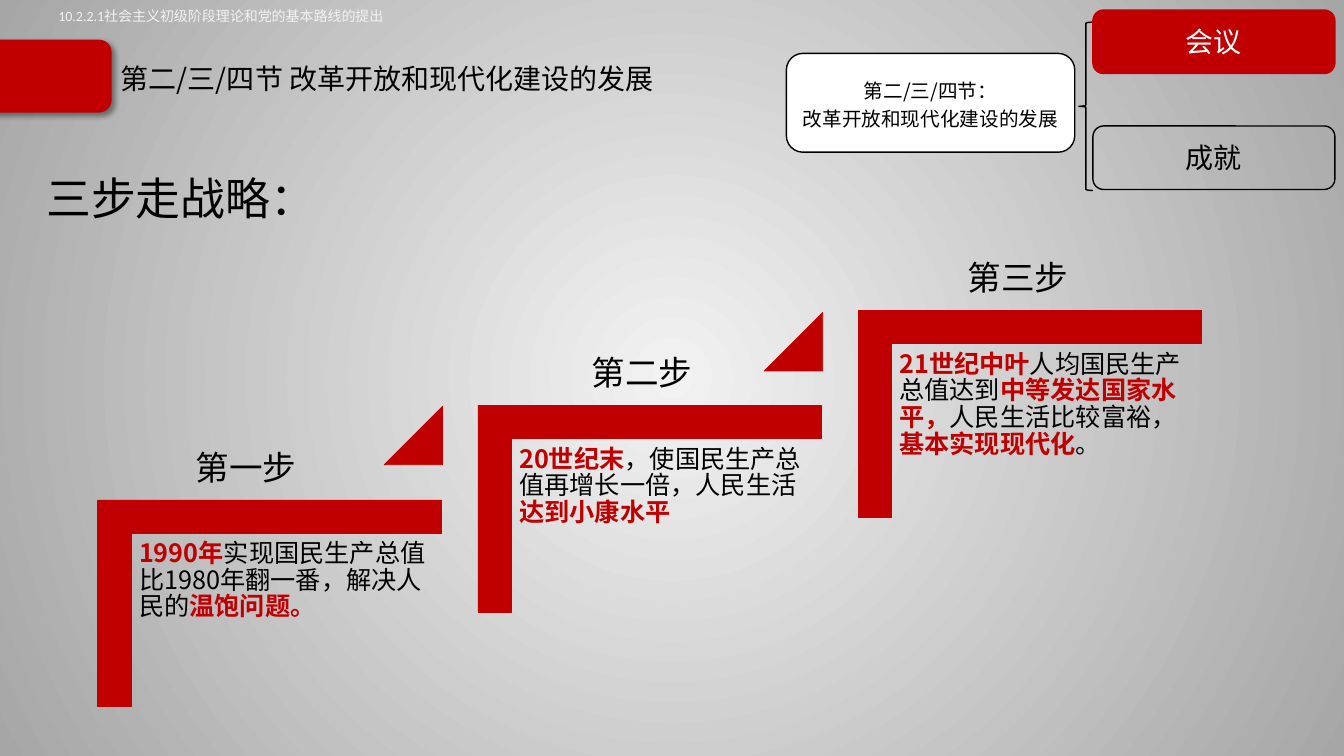
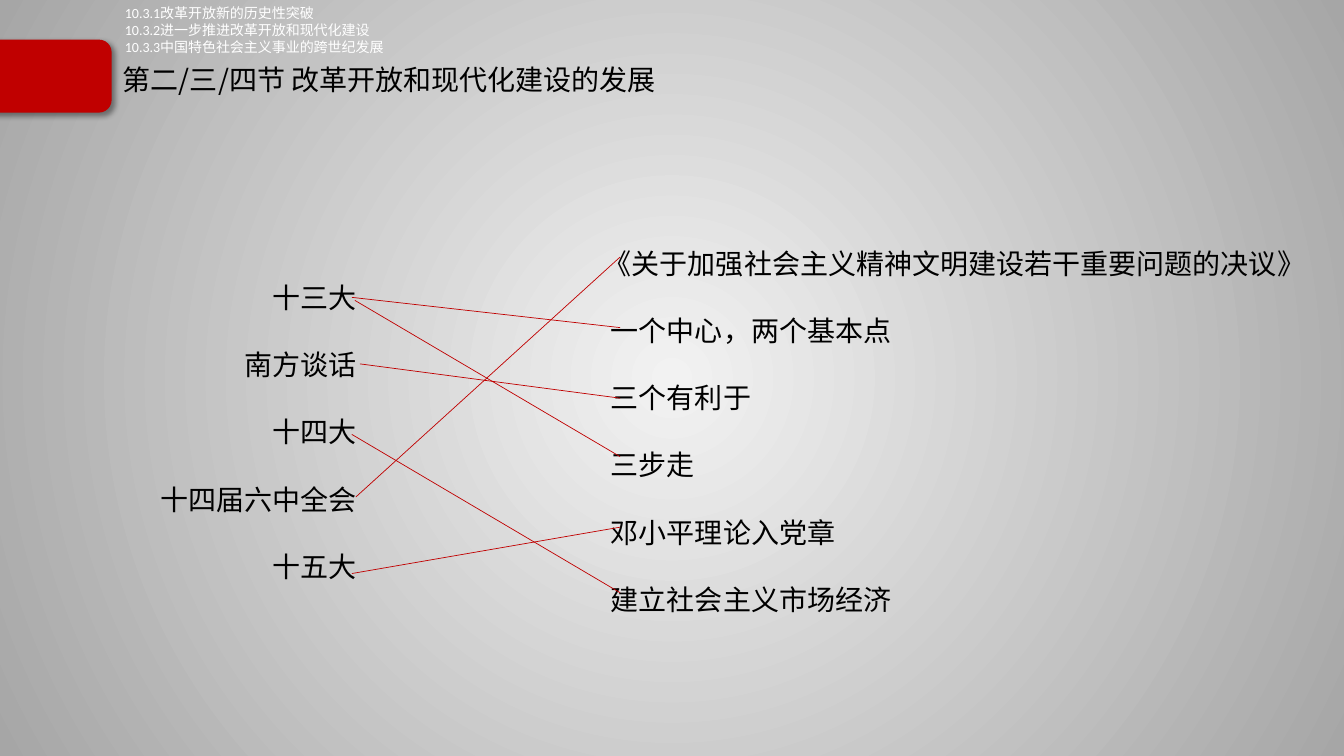
from dataclasses import dataclass
from lxml import etree
from pptx import Presentation
from pptx.dml.color import RGBColor
from pptx.enum.shapes import MSO_CONNECTOR as Connector, MSO_SHAPE as Shape
from pptx.enum.text import MSO_ANCHOR as Anchor, PP_ALIGN as Align
from pptx.oxml import parse_xml
from pptx.oxml.ns import nsdecls, qn
from pptx.util import Pt

PX = 9144


@dataclass(frozen=True)
class Style:
    size: int
    leading: int
    font: str = "Noto Sans CJK SC"


@dataclass(frozen=True)
class Theme:
    red: str = "C00000"
    black: str = "000000"
    white: str = "FFFFFF"
    light: str = "F2F2F2"
    grey: str = "A6A6A6"
    east_asian: str = "Noto Sans CJK SC"
    title: Style = Style(20, 24, "Noto Sans CJK JP")
    outline: Style = Style(10, 12, "Calibri")
    heading: Style = Style(32, 46)
    step: Style = Style(24, 31)
    detail: Style = Style(18, 19)
    topic: Style = Style(14, 20)
    branch: Style = Style(20, 24)
    match: Style = Style(20, 48)


THEME = Theme()
SECTION = "第二/三/四节 改革开放和现代化建设的发展"


def rgb(value):
    return RGBColor.from_string(value)


def emu(*lengths):
    return [round(length * PX) for length in lengths]


def set_background(master):
    fill = master.background.fill
    fill.gradient()
    for stop, color, position in zip(fill.gradient_stops, (THEME.light, THEME.grey), (0, 1)):
        stop.color.rgb = rgb(color)
        stop.position = position
    linear = next(master.element.iter(qn("a:lin")))
    linear.getparent().replace(linear, parse_xml(
        f'<a:path {nsdecls("a")} path="circle">'
        '<a:fillToRect l="50000" t="50000" r="50000" b="50000"/></a:path>'))


def write(frame, paragraphs, style, color=THEME.black, align=Align.LEFT,
          anchor=Anchor.TOP, margins=(10, 5, 10, 5)):
    frame.word_wrap = True
    frame.vertical_anchor = anchor
    (frame.margin_left, frame.margin_top,
     frame.margin_right, frame.margin_bottom) = emu(*margins)
    for index, content in enumerate(paragraphs):
        para = frame.paragraphs[0] if index == 0 else frame.add_paragraph()
        para.alignment = align
        para.line_spacing = Pt(style.leading)
        font = para.font
        font.size = Pt(style.size)
        font.name = style.font
        font.color.rgb = rgb(color)
        east_asian = style.font if style.font != "Calibri" else THEME.east_asian
        latin = para._p.pPr.find(qn("a:defRPr")).find(qn("a:latin"))
        latin.addnext(parse_xml(f'<a:ea {nsdecls("a")} typeface="{east_asian}"/>'))
        for text, strong in [(content, False)] if isinstance(content, str) else content:
            span = para.add_run()
            span.text = text
            if strong:
                span.font.bold = True
                span.font.color.rgb = rgb(THEME.red)


def add_text(page, frame, paragraphs, style, **options):
    box = page.shapes.add_textbox(*emu(*frame))
    write(box.text_frame, paragraphs, style, **options)
    return box


def add_block(page, kind, frame, fill, line, width=1):
    block = page.shapes.add_shape(kind, *emu(*frame))
    block.shadow.inherit = False
    if fill:
        block.fill.solid()
        block.fill.fore_color.rgb = rgb(fill)
    else:
        block.fill.background()
    block.line.color.rgb = rgb(line)
    block.line.width = Pt(width)
    return block


def add_node(page, frame, paragraphs, style, fill, line, color):
    node = add_block(page, Shape.ROUNDED_RECTANGLE, frame, fill, line)
    write(node.text_frame, paragraphs, style, color=color, align=Align.CENTER,
          anchor=Anchor.MIDDLE, margins=(5, 5, 5, 5))


def add_header(page, title_frame, outline_frame, outline, outline_color):
    add_text(page, title_frame, [SECTION], THEME.title, anchor=Anchor.MIDDLE)
    tag = add_block(page, Shape.ROUNDED_RECTANGLE, (-18, 40, 128, 71), THEME.red, THEME.red)
    effects = tag._element.spPr.find(qn("a:effectLst"))
    effects.append(parse_xml(
        f'<a:outerShdw {nsdecls("a")} blurRad="{Pt(4)}" dist="{Pt(3)}" dir="2700000">'
        f'<a:srgbClr val="{THEME.black}"><a:alpha val="40000"/></a:srgbClr></a:outerShdw>'))
    add_text(page, outline_frame, outline, THEME.outline, color=outline_color)


def add_step(page, index, label_left, label, detail):
    left, top = 97 + 377 * index, 496 - 94 * index
    width, height = 341, 205
    corner = add_block(
        page, Shape.CORNER,
        (left + (width - height) / 2, top - (width - height) / 2, height, width),
        THEME.red, THEME.red, 0.5)
    corner.rotation = 90
    corner.adjustments[0] = corner.adjustments[1] = 0.16
    add_text(page, (left + 34, top + 34, 308, 270), [detail], THEME.detail,
             margins=(7, 7, 7, 7))
    add_text(page, (label_left, top - 61, 168, 50), [label], THEME.step)


def add_rise(page, index):
    rise = add_block(page, Shape.ISOSCELES_TRIANGLE,
                     (381 + 377 * index, 403 - 93 * index, 58, 58),
                     THEME.red, THEME.red, 0.5)
    rise.adjustments[0] = 1


def add_link(page, start, end):
    link = page.shapes.add_connector(Connector.STRAIGHT, *emu(*start, *end))
    link.line.color.rgb = rgb(THEME.red)
    link.line.width = Pt(0.5)
    etree.SubElement(link._element.spPr, qn("a:effectLst"))


def build_strategy(page):
    add_header(page, (110, 42, 660, 71), (48, 3, 782, 27),
               ["10.2.2.1社会主义初级阶段理论和党的基本路线的提出"], THEME.light)
    add_text(page, (36, 130, 1279, 98), ["三步走战略："], THEME.heading, anchor=Anchor.BOTTOM)

    steps = [
        (184, "第一步", [("1990年", True),
                      ("实现国民生产总值比1980年翻一番，解决人民的", False),
                      ("温饱问题。", True)]),
        (577, "第二步", [("20世纪末", True),
                      ("，使国民生产总值再增长一倍，人民生活", False),
                      ("达到小康水平", True)]),
        (950, "第三步", [("21世纪中叶", True), ("人均国民生产总值达到", False),
                      ("中等发达国家水平，", True), ("人民生活比较富裕，", False),
                      ("基本实现现代化", True), ("。", False)]),
    ]
    for index, step in enumerate(steps):
        add_step(page, index, *step)
    for index in range(len(steps) - 1):
        add_rise(page, index)

    add_node(page, (780, 53, 286, 98), ["第二/三/四节：", "改革开放和现代化建设的发展"],
             THEME.topic, THEME.white, THEME.black, THEME.black)
    add_block(page, Shape.LEFT_BRACE, (1070, 22, 14, 167), None, THEME.black)
    add_node(page, (1084, 10, 240, 63), ["会议"], THEME.branch,
             THEME.red, THEME.red, THEME.white)
    add_node(page, (1084, 125, 240, 63), ["成就"], THEME.branch,
             None, THEME.black, THEME.black)


def build_matching(page):
    add_header(page, (112, 49, 614, 59), (114, 0, 782, 61),
               ["10.3.1改革开放新的历史性突破",
                "10.3.2进一步推进改革开放和现代化建设",
                "10.3.3中国特色社会主义事业的跨世纪发展"], THEME.white)
    add_text(page, (0, 225, 364, 394),
             ["十三大", "南方谈话", "十四大", "十四届六中全会", "十五大"],
             THEME.match, align=Align.RIGHT, margins=(10, 20, 10, 5))
    answers = add_text(page, (589, 196, 744, 488),
                       ["《关于加强社会主义精神文明建设若干重要问题的决议》",
                        "一个中心，两个基本点", "三个有利于", "三步走",
                        "邓小平理论入党章", "建立社会主义市场经济"],
                       THEME.match, margins=(10, 15, 10, 5))
    for para in answers.text_frame.paragraphs[1:]:
        para._p.get_or_add_pPr().set("marL", str(7 * PX))

    link_end = 615
    for left, top, end_top in [(349, 295, 325), (357, 361, 395), (349, 431, 588),
                               (353, 493, 255), (349, 569, 523), (352, 298, 453)]:
        add_link(page, (left, top), (link_end, end_top))


def main():
    deck = Presentation()
    deck.slide_width, deck.slide_height = emu(1333, 750)
    set_background(deck.slide_master)
    for build in (build_strategy, build_matching):
        build(deck.slides.add_slide(deck.slide_layouts[6]))
    deck.save("out.pptx")


if __name__ == "__main__":
    main()
